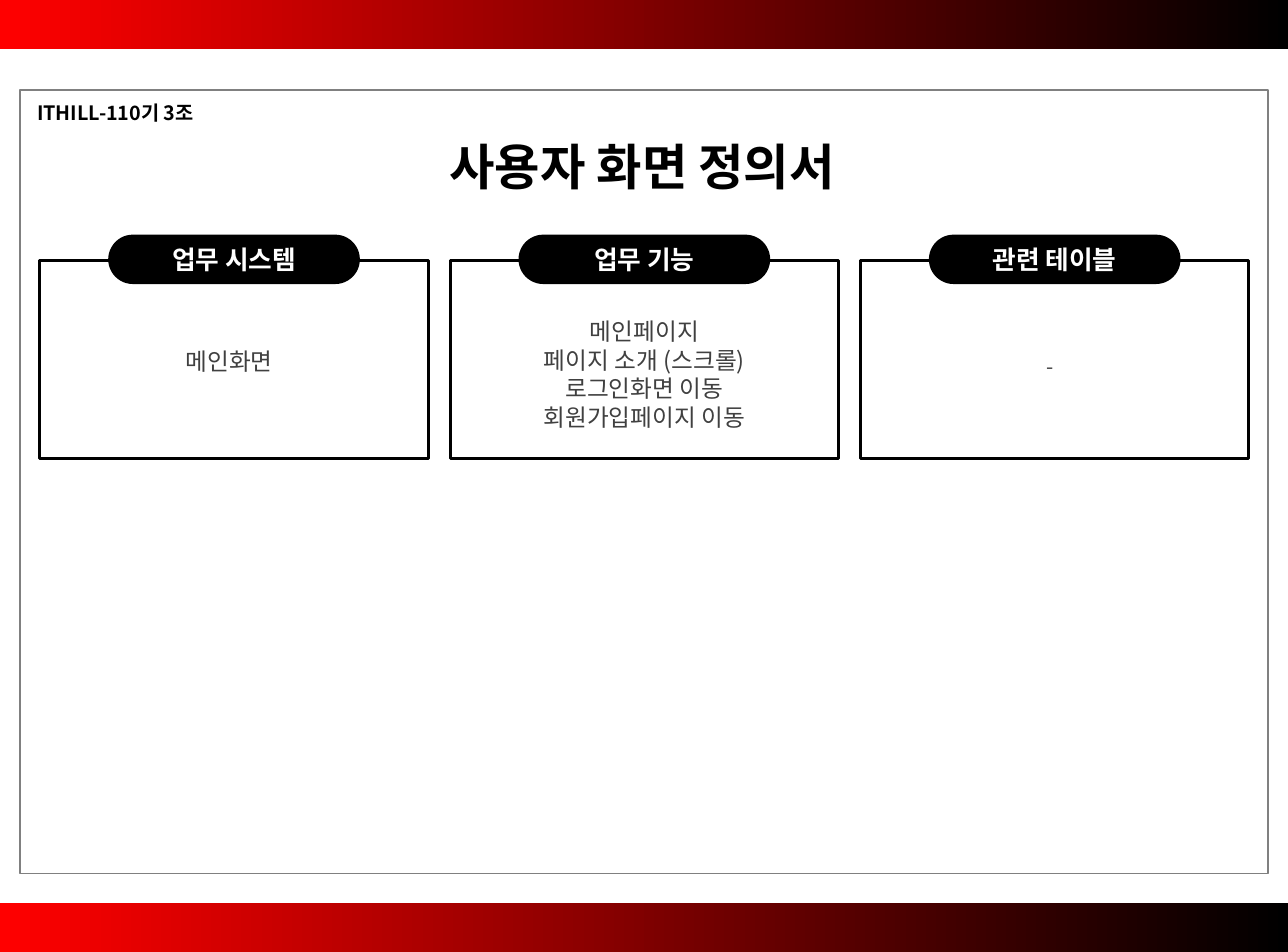
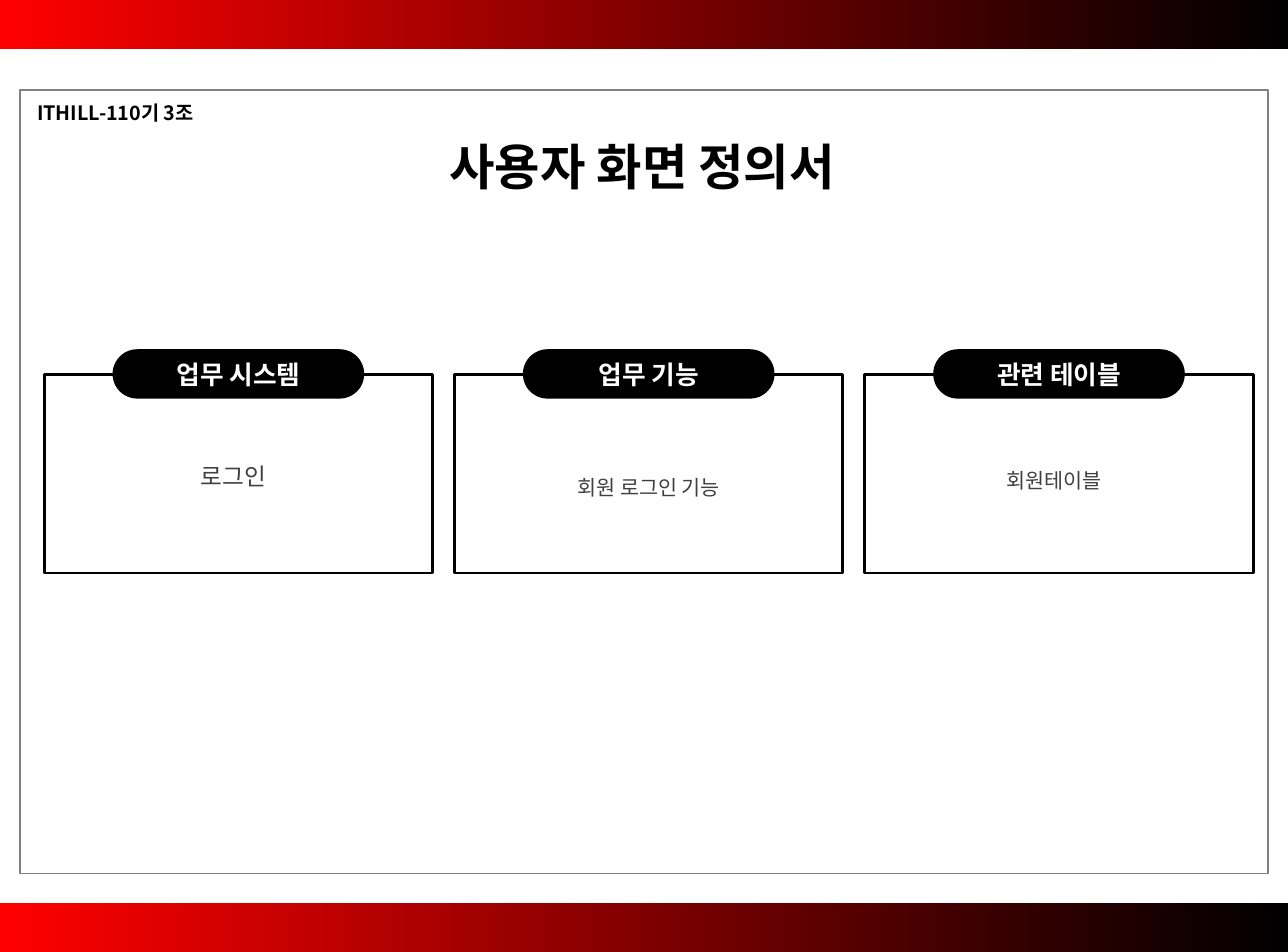
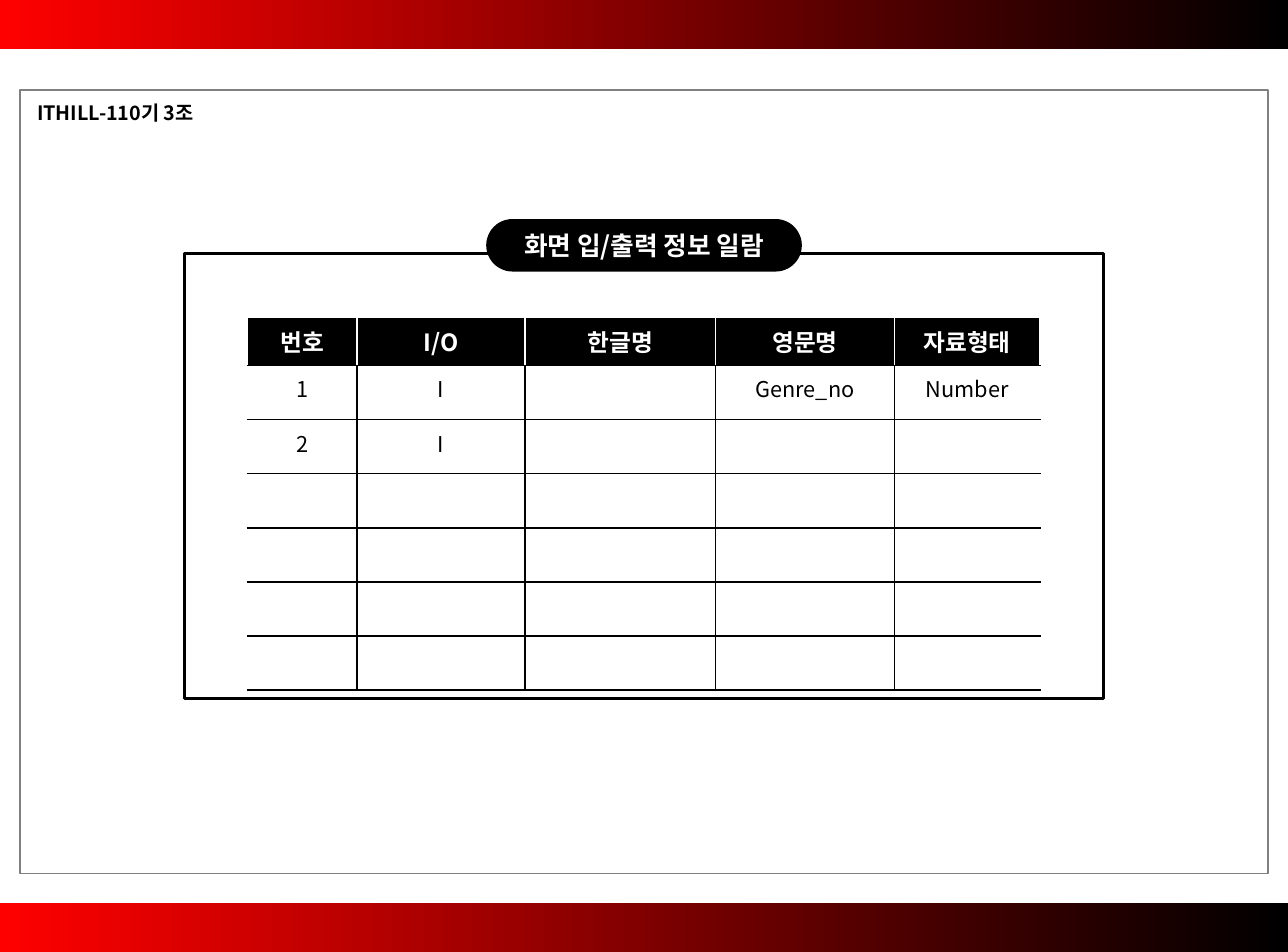
from dataclasses import dataclass

from lxml.etree import SubElement
from pptx import Presentation
from pptx.dml.color import RGBColor
from pptx.enum.shapes import MSO_SHAPE as Preset
from pptx.enum.text import MSO_ANCHOR as Anchor, PP_ALIGN as Align
from pptx.oxml.ns import qn
from pptx.util import Pt


@dataclass(frozen=True)
class Theme:
    font: str = "Noto Sans CJK KR"
    black: str = "000000"
    white: str = "FFFFFF"
    red: str = "FF0000"
    gray: str = "808080"
    body: str = "404040"
    title_size: float = 25
    pill_size: float = 13
    head_size: float = 12
    cell_size: float = 11
    team_size: float = 10
    thick: float = 1.5
    thin: float = 0.96


THEME = Theme()
WIDTH, HEIGHT = 651.97, 481.89
BAND_HEIGHT = 25
CARD_WIDTH, CARD_HEIGHT, CARD_PITCH = 196.6, 100.3, 207.7
CARD_PILL = (127.4, 25, 13)  # width, height, rise above the frame

TEAM = "ITHILL-110기 3조"
TITLE = "사용자 화면 정의서"
CARD_HEADS = ["업무 시스템", "업무 기능", "관련 테이블"]
TEXT_SHIFTS = [-2.5, 0, -2.5]

# Each body: lines, type size, top
CARD_SLIDES = [
    {"left": 20.2, "top": 131.8, "bodies": [
        (["메인화면"], 12, 171.8),
        (["메인페이지", "페이지 소개 (스크롤)", "로그인화면 이동", "회원가입페이지 이동"], 12, 157.1),
        (["-"], 10.5, 175.5)]},
    {"left": 22.4, "top": 189.8, "bodies": [
        (["로그인"], 12, 230),
        (["회원 로그인 기능"], 10.5, 236.9),
        (["회원테이블"], 10.5, 233.3)]},
]

TABLE_HEAD = "화면 입/출력 정보 일람"
TABLE_FRAME = (93.5, 128.2, 465, 225.4)
TABLE_PILL = (159.8, 26.6, 17.3)
TABLE_ORIGIN = (125.2, 160.5)
COLUMN_WIDTHS = [55.4, 85.1, 96.5, 90.6, 73.6]
HEAD_ROW, BODY_ROW = 24.5, 27.4
ROWS = [
    ["번호", "I/O", "한글명", "영문명", "자료형태"],
    ["1", "I", "", "Genre_no", "Number"],
    ["2", "I", "", "", ""],
] + [[""] * 5 for _ in range(4)]


def color(code):
    return RGBColor.from_string(code)


def write(paragraph, text, size, ink, bold=False, align=Align.CENTER):
    paragraph.alignment = align
    run = paragraph.add_run()
    run.text = text
    font = run.font
    font.name, font.size, font.bold = THEME.font, Pt(size), bold
    font.color.rgb = color(ink)
    SubElement(font._element, qn("a:ea"), typeface=THEME.font)


def set_margins(holder, side, end):
    holder.margin_left = holder.margin_right = Pt(side)
    holder.margin_top = holder.margin_bottom = Pt(end)


def add_text(slide, box, lines, size, ink, bold=False, align=Align.CENTER):
    frame = slide.shapes.add_textbox(*map(Pt, box)).text_frame
    frame.word_wrap = True
    set_margins(frame, 7, 3.6)
    for index, line in enumerate(lines):
        paragraph = frame.add_paragraph() if index else frame.paragraphs[0]
        paragraph.line_spacing = Pt(1.2 * size)
        write(paragraph, line, size, ink, bold, align)


def add_shape(slide, preset, box, fill=None, line=None, line_width=0):
    shape = slide.shapes.add_shape(preset, *map(Pt, box))
    shape.shadow.inherit = False
    if fill:
        shape.fill.solid()
        shape.fill.fore_color.rgb = color(fill)
    else:
        shape.fill.background()
    if line:
        shape.line.color.rgb = color(line)
        shape.line.width = Pt(line_width)
    else:
        shape.line.fill.background()
    return shape


def add_card(slide, box, head, pill):
    """Outlined frame with a black pill centred on its top edge."""
    left, top, width, _ = box
    pill_width, pill_height, rise = pill
    add_shape(slide, Preset.RECTANGLE, box, line=THEME.black, line_width=THEME.thick)
    shape = add_shape(slide, Preset.ROUNDED_RECTANGLE,
                      (left + (width - pill_width) / 2, top - rise, pill_width, pill_height),
                      fill=THEME.black)
    shape.adjustments[0] = 0.5
    frame = shape.text_frame
    frame.word_wrap = True
    frame.vertical_anchor = Anchor.MIDDLE
    set_margins(frame, 6.5, 2.9)
    write(frame.paragraphs[0], head, THEME.pill_size, THEME.white, True)


def add_base_slide(presentation):
    """Blank slide with the gradient bands, page frame and team label."""
    slide = presentation.slides.add_slide(presentation.slide_layouts[6])
    for top in (0, HEIGHT - BAND_HEIGHT):
        band = add_shape(slide, Preset.RECTANGLE, (0, top, WIDTH, BAND_HEIGHT))
        band.fill.gradient()
        band.fill.gradient_angle = 0
        for stop, code in zip(band.fill.gradient_stops, (THEME.red, THEME.black)):
            stop.color.rgb = color(code)
    add_shape(slide, Preset.RECTANGLE, (10.1, 45.4, 631.8, 396.8),
              line=THEME.gray, line_width=1)
    add_text(slide, (11.8, 47.7, 290, 18.7), [TEAM], THEME.team_size, THEME.black,
             True, Align.LEFT)
    return slide


def add_card_slide(presentation, content):
    slide = add_base_slide(presentation)
    add_text(slide, (156.2, 65.4, 337.7, 36.7), [TITLE], THEME.title_size, THEME.black, True)
    cards = zip(CARD_HEADS, content["bodies"], TEXT_SHIFTS)
    for index, (head, (lines, size, top), shift) in enumerate(cards):
        left = content["left"] + index * CARD_PITCH
        add_card(slide, (left, content["top"], CARD_WIDTH, CARD_HEIGHT), head, CARD_PILL)
        add_text(slide, (left + shift, top, CARD_WIDTH, 1.2 * size * len(lines) + 7.2),
                 lines, size, THEME.body)


def set_borders(cell, left, right, top, bottom):
    properties = cell._tc.get_or_add_tcPr()
    sides = zip(("a:lnL", "a:lnR", "a:lnT", "a:lnB"), (left, right, top, bottom))
    for index, (tag, code) in enumerate(sides):
        line = SubElement(properties, qn(tag), w=str(int(Pt(THEME.thin))))
        SubElement(SubElement(line, qn("a:solidFill")), qn("a:srgbClr"), val=code)
        properties.insert(index, line)


def fill_cell(cell, text, is_head, is_first, is_last):
    set_margins(cell, 0.7, 3.6)
    paragraph = cell.text_frame.paragraphs[0]
    white, black = THEME.white, THEME.black
    if is_head:
        cell.fill.solid()
        cell.fill.fore_color.rgb = color(black)
        set_borders(cell, white, white, white, black)
        write(paragraph, text, THEME.head_size, white, True)
        return
    cell.fill.background()
    set_borders(cell, white if is_first else black, white if is_last else black, black, black)
    if text:
        write(paragraph, text, THEME.cell_size, black)
    else:
        SubElement(paragraph._p, qn("a:endParaRPr"), sz=str(THEME.cell_size * 100))


def add_table_slide(presentation):
    slide = add_base_slide(presentation)
    add_card(slide, TABLE_FRAME, TABLE_HEAD, TABLE_PILL)
    heights = [HEAD_ROW] + [BODY_ROW] * (len(ROWS) - 1)
    box = (*TABLE_ORIGIN, sum(COLUMN_WIDTHS), sum(heights))
    table = slide.shapes.add_table(len(ROWS), len(COLUMN_WIDTHS), *map(Pt, box)).table
    table.first_row = table.horz_banding = False
    for column, width in zip(table.columns, COLUMN_WIDTHS):
        column.width = Pt(width)
    last = len(COLUMN_WIDTHS) - 1
    for row_index, (values, height) in enumerate(zip(ROWS, heights)):
        table.rows[row_index].height = Pt(height)
        for index, text in enumerate(values):
            fill_cell(table.cell(row_index, index), text,
                      row_index == 0, index == 0, index == last)


def main():
    presentation = Presentation()
    presentation.slide_width, presentation.slide_height = Pt(WIDTH), Pt(HEIGHT)
    for content in CARD_SLIDES:
        add_card_slide(presentation, content)
    add_table_slide(presentation)
    presentation.save("out.pptx")


if __name__ == "__main__":
    main()
